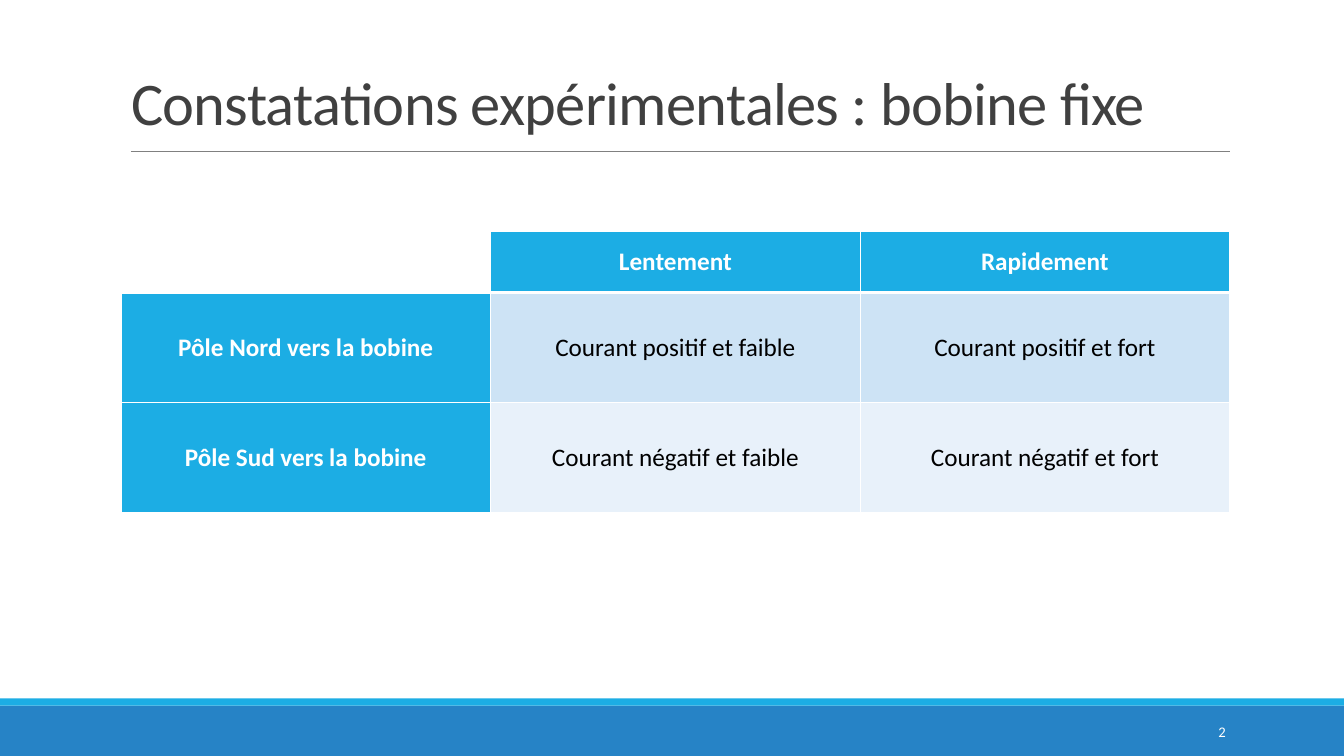
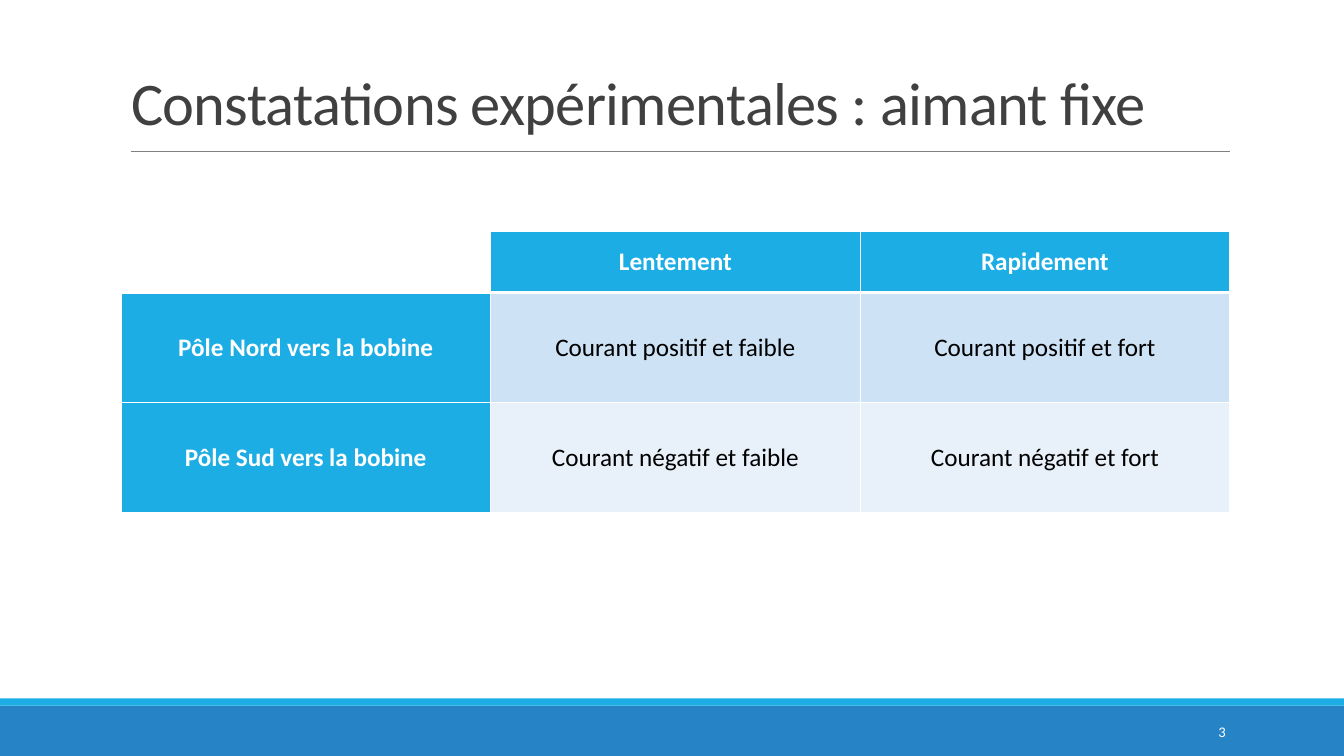
from dataclasses import dataclass

from lxml.etree import SubElement
from pptx import Presentation
from pptx.dml.color import RGBColor as RGB
from pptx.enum.shapes import MSO_CONNECTOR as LINK, MSO_SHAPE as SHAPE
from pptx.enum.text import MSO_ANCHOR as ANCHOR, MSO_AUTO_SIZE as FIT, PP_ALIGN as ALIGN
from pptx.oxml.ns import qn
from pptx.util import Cm, Pt


@dataclass(frozen=True)
class Theme:
    font: str = "Calibri"
    white: str = "FFFFFF"
    black: str = "000000"
    ink: str = "404040"
    rule: str = "808080"
    blue: str = "2683C6"
    sky: str = "1CADE4"
    tints: tuple = ("CDE3F5", "E8F1FA")
    title: float = 43.2
    body: float = 18
    small: float = 10.5


T = Theme()
WIDE, HIGH = Cm(33.87), Cm(19.05)
LEFT, SPAN = Cm(3.05), Cm(27.94)
BANDS = [(Cm(17.78), Cm(1.27), T.blue), (Cm(17.6), Cm(0.18), T.sky)]
ROWS = [Cm(1.55), Cm(2.78), Cm(2.78)]
TITLES = [
    "Constatations expérimentales : bobine fixe",
    "Constatations expérimentales : aimant fixe",
]
GRID = [
    ["", "Lentement", "Rapidement"],
    ["Pôle Nord vers la bobine", "Courant positif et faible", "Courant positif et fort"],
    ["Pôle Sud vers la bobine", "Courant négatif et faible", "Courant négatif et fort"],
]


def write(frame, text, size=T.body, color=T.black, bold=False,
          align=ALIGN.LEFT, anchor=ANCHOR.MIDDLE, lead=None, track=None):
    """Fill a text frame; lead is line spacing, track is in 1/100 pt."""
    frame.word_wrap = True
    frame.vertical_anchor = anchor
    para = frame.paragraphs[0]
    para.alignment = align
    if lead:
        para.line_spacing = lead
    run = para.add_run()
    run.text = text
    font = run.font
    font.name, font.size, font.bold = T.font, Pt(size), bold
    font.color.rgb = RGB.from_string(color)
    if track:
        font._element.set("spc", str(track))


def edge(cell, **widths):
    """Draw white cell borders, widths in points, given in the order L, R, T, B."""
    props = cell._tc.get_or_add_tcPr()
    for side, width in widths.items():
        line = SubElement(props, qn(f"a:ln{side}"), w=str(Pt(width)))
        fill = SubElement(line, qn("a:solidFill"))
        SubElement(fill, qn("a:srgbClr"), val=T.white)


deck = Presentation()
deck.slide_width, deck.slide_height = WIDE, HIGH

for num, name in enumerate(TITLES, 2):
    slide = deck.slides.add_slide(deck.slide_layouts[5])
    shapes = slide.shapes

    for top, tall, color in BANDS:
        band = shapes.add_shape(SHAPE.RECTANGLE, 0, top, WIDE, tall)
        band.shadow.inherit = False
        band.fill.solid()
        band.fill.fore_color.rgb = RGB.from_string(color)
        band.line.fill.background()

    rule = shapes.add_connector(LINK.STRAIGHT, Cm(3.3), Cm(3.81), Cm(30.99), Cm(3.81))
    rule.line.color.rgb = RGB.from_string(T.rule)
    rule.line.width = Pt(0.5)
    SubElement(rule._element.spPr, qn("a:effectLst"))

    title = shapes.title
    title.left, title.top, title.width, title.height = LEFT, Cm(0.79), SPAN, Cm(2.82)
    title.text_frame.auto_size = FIT.NONE
    write(title.text_frame, name, size=T.title, color=T.ink,
          anchor=ANCHOR.BOTTOM, lead=0.85, track=-50)

    table = shapes.add_table(3, 3, LEFT, Cm(5.82), SPAN, sum(ROWS)).table
    table.horz_banding = False
    table.first_col = True
    for row, tall in zip(table.rows, ROWS):
        row.height = tall
    for r, texts in enumerate(GRID):
        for c, text in enumerate(texts):
            cell = table.cell(r, c)
            head = r == 0 or c == 0
            edge(cell, L=1, R=1, T=3 if r == 1 else 1, B=3 if r == 0 else 1)
            shade = T.sky if head else T.tints[r - 1]
            cell.fill.solid()
            cell.fill.fore_color.rgb = RGB.from_string(shade if text else T.white)
            cell.vertical_anchor = ANCHOR.MIDDLE
            if text:
                write(cell.text_frame, text, bold=head, align=ALIGN.CENTER,
                      color=T.white if head else T.black)

    page = shapes.add_textbox(Cm(27.51), Cm(17.93), Cm(3.63), Cm(1.02))
    write(page.text_frame, str(num), size=T.small, color=T.white, align=ALIGN.RIGHT)

deck.save("out.pptx")
